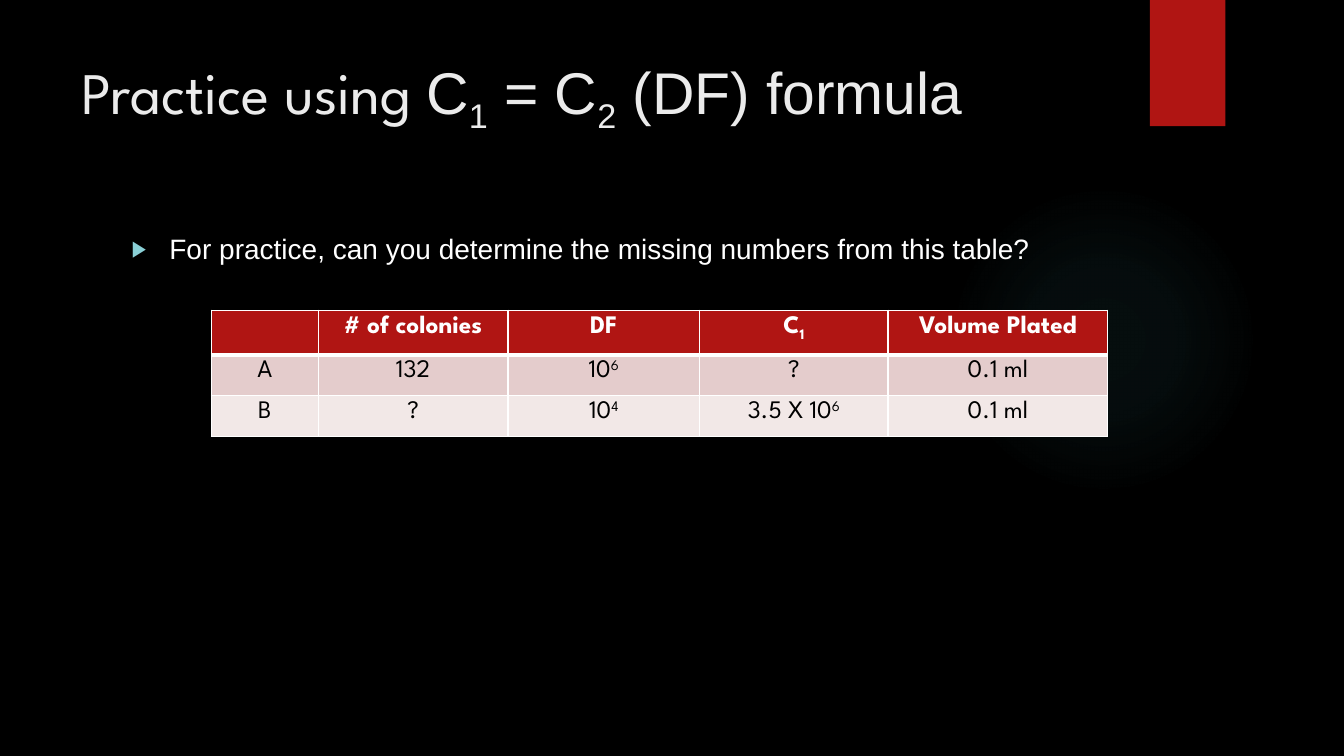
from lxml import etree
from pptx import Presentation
from pptx.dml.color import RGBColor
from pptx.enum.shapes import MSO_SHAPE
from pptx.enum.text import MSO_ANCHOR, PP_ALIGN
from pptx.oxml.ns import qn
from pptx.util import Cm, Pt

OVAL, RECT = MSO_SHAPE.OVAL, MSO_SHAPE.RECTANGLE
TOP, CENTER = MSO_ANCHOR.TOP, PP_ALIGN.CENTER
HEAD_FONT, BODY_FONT = "League Spartan", "Arial"
WHITE, BLACK, RED = "FFFFFF", "000000", "B01513"
ROW_FILLS = [RED, "E4CCCC", "F2E8E7"]
COLUMNS = [2.69, 4.78, 4.83, 4.75, 5.54]
SUB, SUP = -25, 30
ROWS = [
    [[], [("# of colonies", 0)], [("DF", 0)], [("C", 0), ("1", SUB)], [("Volume Plated", 0)]],
    [[("A", 0)], [("132", 0)], [("10", 0), ("6", SUP)], [("?", 0)], [("0.1 ml", 0)]],
    [[("B", 0)], [("?", 0)], [("10", 0), ("4", SUP)], [("3.5 X 10", 0), ("6", SUP)], [("0.1 ml", 0)]],
]


def rgb(color):
    """Turn a hex string into a colour."""
    return RGBColor.from_string(color)


def sub(parent, tag, **attrs):
    """Append a drawing element with the given attributes."""
    e = etree.SubElement(parent, qn(tag))
    for name, value in attrs.items():
        e.set(name, str(value))
    return e


def add_run(p, text, size, font, color, bold=False, base=0):
    """Add one run, raised or lowered by base percent."""
    r = p.add_run()
    r.text = text
    r.font.size, r.font.name, r.font.bold = Pt(size), font, bold
    r.font.color.rgb = rgb(color)
    if base:
        r._r.get_or_add_rPr().set("baseline", str(base * 1000))


def add_plain(slide, kind, x, y, w, h):
    """Add a preset shape without line or shadow."""
    s = slide.shapes.add_shape(kind, Cm(x), Cm(y), Cm(w), Cm(h))
    s.shadow.inherit = False
    s.line.fill.background()
    return s


def add_text_box(slide, x, y, w, h):
    """Add a wrapping text box and return its first paragraph."""
    tf = slide.shapes.add_textbox(Cm(x), Cm(y), Cm(w), Cm(h)).text_frame
    tf.word_wrap = True
    tf.vertical_anchor = TOP
    return tf.paragraphs[0]


def add_backdrop(slide, x, y, w, h):
    """Place the black background, faint glow and red tab in the box."""
    slide.background.fill.solid()
    slide.background.fill.fore_color.rgb = rgb(BLACK)
    glow = add_plain(slide, OVAL, x + w - 9.97, y + 4.65, 7.82, 7.82)
    glow.fill.gradient()
    grad = glow._element.spPr.find(qn("a:gradFill"))
    for child in list(grad):
        grad.remove(child)
    stops = sub(grad, "a:gsLst")
    for pos, alpha in [(0, 7), (36, 6), (69, 0)]:
        color = sub(sub(stops, "a:gs", pos=pos * 1000), "a:srgbClr", val="50B9C1")
        sub(color, "a:alpha", val=alpha * 1000)
    sub(sub(grad, "a:path", path="circle"), "a:fillToRect", l=50000, t=50000, r=50000, b=50000)
    tab = add_plain(slide, RECT, x + w - 4.89, y, 1.9, 3.18)
    tab.fill.solid()
    tab.fill.fore_color.rgb = rgb(RED)


def add_title(slide, x, y, w, h):
    """Write the title with its formula."""
    p = add_text_box(slide, x, y, w, h)
    add_run(p, "Practice using ", 42, HEAD_FONT, "EBEBEB")
    for text, base in [("C", 0), ("1", SUB), (" = C", 0), ("2", SUB), (" (DF) formula", 0)]:
        add_run(p, text, 42, BODY_FONT, "EBEBEB", base=base)


def add_question(slide, x, y, w, h):
    """Write the bulleted question."""
    p = add_text_box(slide, x, y, w, h)
    p.space_before = Pt(10)
    pPr = p._p.get_or_add_pPr()
    pPr.set("marL", str(Cm(0.95)))
    pPr.set("indent", str(-Cm(0.95)))
    sub(sub(pPr, "a:buClr"), "a:srgbClr", val="8AD0D6")
    sub(pPr, "a:buSzPct", val=80000)
    sub(pPr, "a:buFont", typeface=BODY_FONT)
    sub(pPr, "a:buChar", char="▶")
    add_run(p, "For practice, can you determine the missing numbers from this table?", 20, BODY_FONT, WHITE)


def set_borders(cell, top, bottom):
    """Draw white cell borders, one point wide at the sides."""
    tcPr = cell._tc.get_or_add_tcPr()
    for i, (side, width) in enumerate([("L", 1), ("R", 1), ("T", top), ("B", bottom)]):
        ln = sub(tcPr, "a:ln" + side, w=Pt(width))
        sub(sub(ln, "a:solidFill"), "a:srgbClr", val=WHITE)
        tcPr.insert(i, ln)


def add_colony_table(slide, x, y, w, h):
    """Build the table of colonies, dilution factors and volumes."""
    table = slide.shapes.add_table(len(ROWS), len(COLUMNS), Cm(x), Cm(y), Cm(w), Cm(h)).table
    for column, width in zip(table.columns, COLUMNS):
        column.width = Cm(width * w / sum(COLUMNS))
    for i, row in enumerate(ROWS):
        table.rows[i].height = Cm(h / len(ROWS))
        header = i == 0
        for j, runs in enumerate(row):
            cell = table.cell(i, j)
            cell.fill.solid()
            cell.fill.fore_color.rgb = rgb(ROW_FILLS[i])
            set_borders(cell, 3 if i == 1 else 1, 3 if header else 1)
            p = cell.text_frame.paragraphs[0]
            p.alignment = CENTER
            for text, base in runs:
                add_run(p, text, 18, HEAD_FONT, WHITE if header else BLACK, header, base)


def main():
    """Build and save the slide."""
    prs = Presentation()
    prs.slide_width, prs.slide_height = Cm(33.87), Cm(19.05)
    slide = prs.slides.add_slide(prs.slide_layouts[6])
    add_backdrop(slide, 0, 0, 33.87, 19.05)
    add_title(slide, 1.8, 1.27, 26.14, 3.89)
    add_question(slide, 3.07, 5.72, 24.84, 11.66)
    add_colony_table(slide, 5.33, 7.82, 22.59, 3.1)
    prs.save("out.pptx")


if __name__ == "__main__":
    main()
